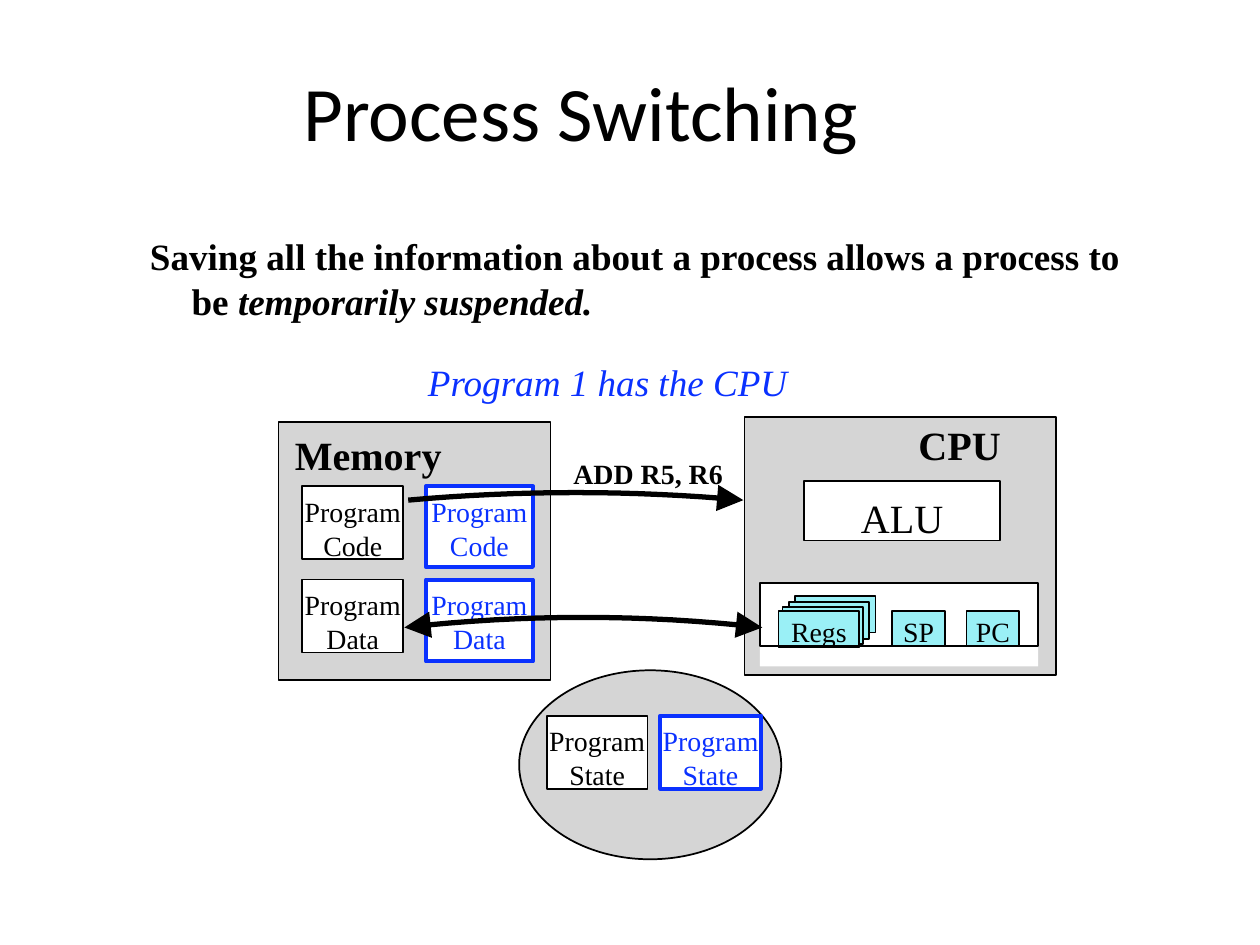
import pptx
import pptx.dml.color
import pptx.enum.shapes
import pptx.enum.text
import pptx.oxml
import pptx.util
from pptx.util import Inches, Pt

BLACK, WHITE, BLUE = "000000", "FFFFFF", "0A31FF"
GRAY, CYAN = "D5D5D5", "9AF0F6"
SERIF = "Times New Roman"
SHAPES = pptx.enum.shapes.MSO_SHAPE
ALIGN = pptx.enum.text.PP_ALIGN
TOP = pptx.enum.text.MSO_ANCHOR.TOP
NO_FIT = pptx.enum.text.MSO_AUTO_SIZE.NONE


def rgb(color):
    return pptx.dml.color.RGBColor.from_string(color)


def add_box(left, top, width, height, fill=None, line=BLACK, weight=1, kind=SHAPES.RECTANGLE,
            text="", size=15.9, color=BLACK, bold=False, inset=(0, 0.01), align=ALIGN.CENTER):
    """Add a filled and outlined shape; inset is the left and top text margin."""
    box = page.shapes.add_shape(kind, Inches(left), Inches(top), Inches(width), Inches(height))
    box.shadow.inherit = False
    if fill:
        box.fill.solid()
        box.fill.fore_color.rgb = rgb(fill)
    else:
        box.fill.background()
    if line:
        box.line.color.rgb = rgb(line)
        box.line.width = Pt(weight)
    else:
        box.line.fill.background()
    if text:
        frame = box.text_frame
        frame.word_wrap = True
        frame.vertical_anchor = TOP
        frame.margin_left, frame.margin_top = Inches(inset[0]), Inches(inset[1])
        frame.margin_right = frame.margin_bottom = 0
        para = frame.paragraphs[0]
        para.text = text
        para.alignment = align
        para.line_spacing = 1.02
        para.font.name, para.font.size = SERIF, Pt(size)
        para.font.bold = bold
        para.font.color.rgb = rgb(color)


deck = pptx.Presentation()
deck.slide_width, deck.slide_height = Inches(10), Inches(7.5)
page = deck.slides.add_slide(deck.slide_layouts[1])

# Title
title = page.shapes.title
title.left, title.top, title.width, title.height = (Inches(n) for n in (0.64, 0.45, 7.94, 0.86))
title.text_frame.auto_size = NO_FIT
title.text_frame.text = "Process Switching"
para = title.text_frame.paragraphs[0]
para.alignment = ALIGN.CENTER
para.font.name, para.font.size = "Calibri", Pt(44)
para.font.color.rgb = rgb(BLACK)

# Statement and caption
body = page.placeholders[1]
body.left, body.top, body.width, body.height = (Inches(n) for n in (1.18, 1.84, 7.75, 1.37))
frame = body.text_frame
frame.auto_size = NO_FIT
frame.vertical_anchor = TOP
frame.margin_left = frame.margin_right = frame.margin_bottom = 0
frame.margin_top = Inches(0.01)
statement, caption = frame.paragraphs[0], frame.add_paragraph()
statement.add_run().text = "Saving all the information about a process allows a process to be "
emphasis = statement.add_run()
emphasis.text = "temporarily suspended."
emphasis.font.italic = True
caption.text = "Program 1 has the CPU"
for para, left, hanging, right, before, color in (
        (statement, 0.34, -0.33, 0, 0, BLACK), (caption, 0, 0, 0.46, 20.5, BLUE)):
    properties = para._p.get_or_add_pPr()
    for name, length in (("marL", left), ("indent", hanging), ("marR", right)):
        properties.set(name, str(Inches(length)))
    properties.append(pptx.oxml.parse_xml(
        '<a:buNone xmlns:a="http://schemas.openxmlformats.org/drawingml/2006/main"/>'))
    para.space_before = Pt(before)
    para.line_spacing = 1.01
    para.font.name, para.font.size = SERIF, Pt(21.2)
    para.font.color.rgb = rgb(color)
statement.font.bold = True
caption.alignment = ALIGN.CENTER
caption.font.italic = True

# CPU, memory and process state areas
add_box(5.91, 3.31, 2.47, 2.05, GRAY, text="CPU", size=22.9, bold=True,
        inset=(1.38, 0.02), align=ALIGN.LEFT)
add_box(2.21, 3.35, 2.16, 2.05, GRAY, text="Memory", size=22.9, bold=True,
        inset=(0.13, 0.06), align=ALIGN.LEFT)
add_box(4.12, 5.32, 2.08, 1.5, GRAY, kind=SHAPES.OVAL)

# Program 2 in black, program 1 in blue
for part, top, blue_left, blue_width, blue_height in (
        ("Code", 3.86, 3.38, 0.85, 0.64),
        ("Data", 4.6, 3.38, 0.85, 0.65),
        ("State", 5.68, 5.24, 0.8, 0.58)):
    black_left = 4.34 if part == "State" else 2.4
    label = "Program " + part
    add_box(black_left, top, 0.8, 0.58, WHITE, text=label, inset=(0, 0.06))
    add_box(blue_left, top, blue_width, blue_height, WHITE, BLUE, 2.25,
            text=label, color=BLUE, inset=(0, 0.06))

# Inside the CPU
add_box(6.38, 3.82, 1.56, 0.47, WHITE, text="ALU", size=22.9, inset=(0, 0.09))
add_box(6.03, 4.63, 2.21, 0.66, WHITE, line=None)
for left, name in ((7.08, "SP"), (7.67, "PC")):
    add_box(left, 4.85, 0.42, 0.28, CYAN, text=name, inset=(0, 0.02))
for left, top, name in ((6.31, 4.73, ""), (6.26, 4.78, ""), (6.21, 4.82, ""), (6.18, 4.85, "Regs")):
    add_box(left, top, 0.64, 0.29, CYAN, text=name, inset=(0, 0.02))
add_box(6.03, 4.63, 2.21, 0.5)

# Instruction label
add_box(4.53, 3.61, 1.25, 0.28, line=None, text="ADD R5, R6", bold=True,
        inset=(0.02, 0.01), align=ALIGN.LEFT)

# Bowed arrows between memory and CPU
STEPS = 16
for start, end, level, rise, ends in (
        (3.24, 5.9, 3.97, 0.06, ["tailEnd"]),
        (3.21, 6.05, 4.98, 0.08, ["headEnd", "tailEnd"])):
    points = []
    for step in range(STEPS + 1):
        share = step / STEPS
        points.append((Inches(start + (end - start) * share),
                       Inches(level - rise * 4 * share * (1 - share))))
    builder = page.shapes.build_freeform(*points[0])
    builder.add_line_segments(points[1:], close=False)
    arrow = builder.convert_to_shape()
    arrow.shadow.inherit = False
    arrow.fill.background()
    arrow.line.color.rgb = rgb(BLACK)
    arrow.line.width = Pt(3)
    for end_name in ends:
        arrow.line._get_or_add_ln().append(pptx.oxml.parse_xml(
            f'<a:{end_name} xmlns:a="http://schemas.openxmlformats.org/drawingml/2006/main"'
            ' type="triangle" w="lg" len="lg"/>'))

deck.save("out.pptx")
